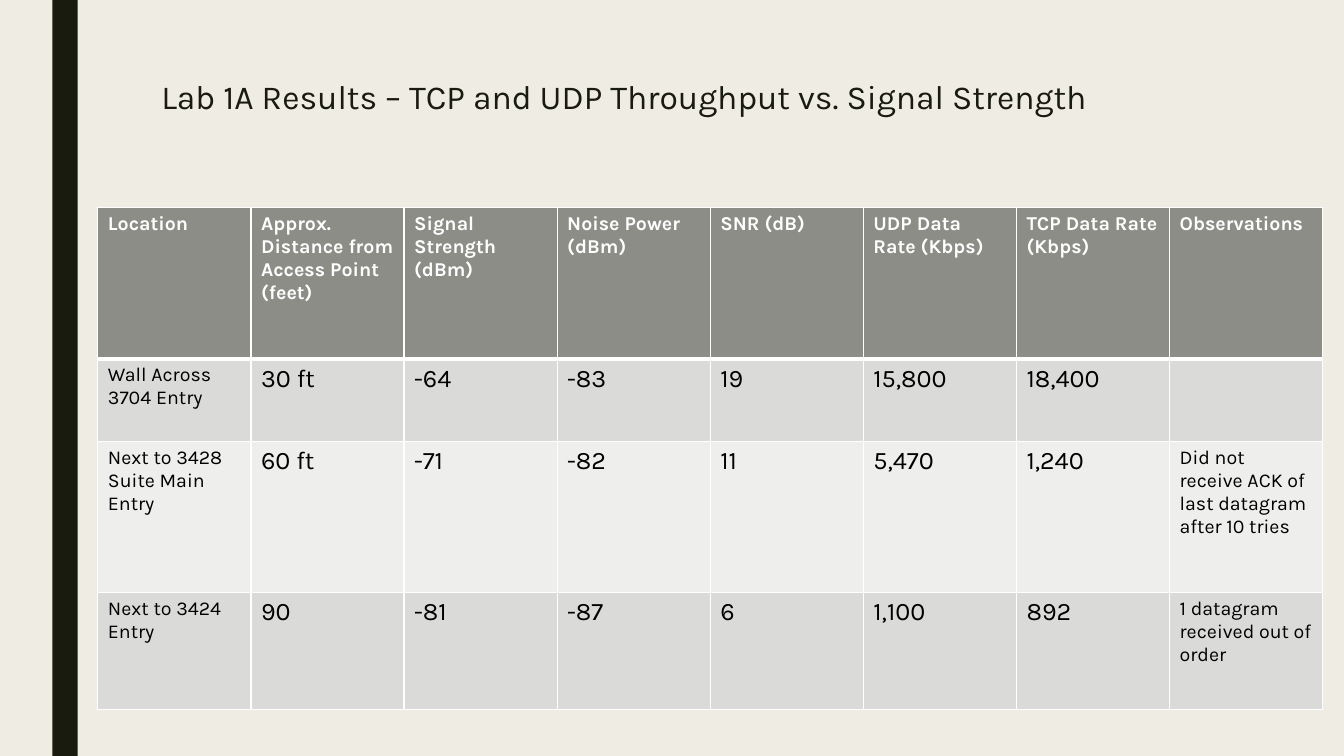
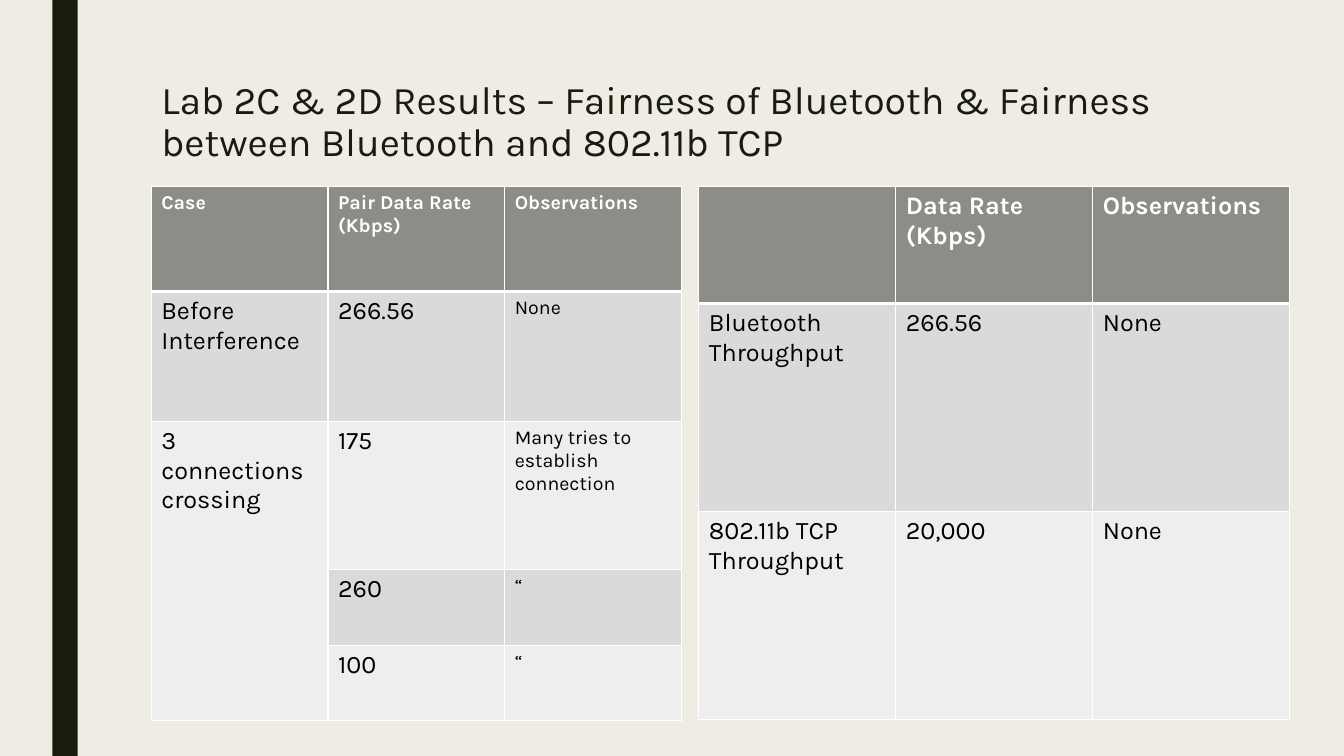
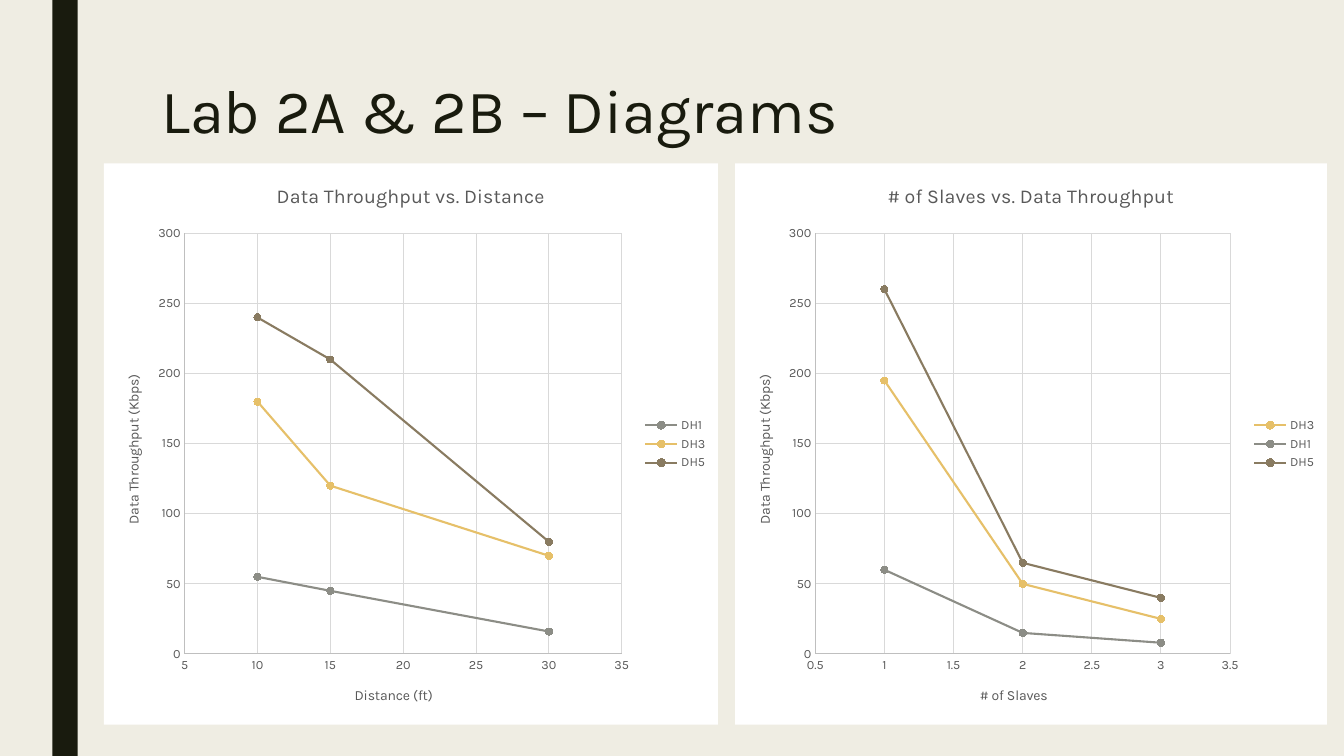
from lxml import etree
from pptx import Presentation
from pptx import util as u
from pptx.chart.data import XyChartData
from pptx.dml.color import RGBColor
from pptx.enum import chart as ch
from pptx.enum import shapes, text
from pptx.oxml import parse_xml
from pptx.oxml.ns import nsdecls, qn

WIDTH, HEIGHT = u.Inches(13.33), u.Inches(7.5)
FONT = "Karla"
CREAM, INK, WHITE, BLACK = "EFEDE3", "191B0E", "FFFFFF", "000000"
HEADER, BANDS = "8C8D86", ("DADBD9", "EEEEED")
LABEL, AXIS, GRID = "595959", "BFBFBF", "D9D9D9"
PACKETS = {"DH1": "8C8D86", "DH3": "E6C069", "DH5": "897B61"}


def color(hex_code):
    """Turn a hex string into a colour."""
    return RGBColor.from_string(hex_code)


def across(share):
    """Convert a percentage of the slide width to a length."""
    return round(WIDTH * share / 100)


def down(share):
    """Convert a percentage of the slide height to a length."""
    return round(HEIGHT * share / 100)


def box(left, top, width, height):
    """Convert slide percentages to left, top, width and height."""
    return across(left), down(top), across(width), down(height)


def assign(target, values):
    """Set every attribute named in a dict."""
    for name, value in values.items():
        setattr(target, name, value)


def style_font(font, size, hex_code, bold=False):
    """Apply the deck font with a size, colour and weight."""
    assign(font, {"name": FONT, "size": u.Pt(size), "bold": bold})
    font.color.rgb = color(hex_code)


def fill_solid(fill, hex_code):
    """Fill with one plain colour."""
    fill.solid()
    fill.fore_color.rgb = color(hex_code)


def style_line(line, hex_code, width):
    """Give a line its colour and width."""
    fill_solid(line.fill, hex_code)
    line.width = u.Pt(width)


def add_slide(prs, heading, size, height):
    """Add a slide with the dark side bar and its title."""
    slide = prs.slides.add_slide(prs.slide_layouts[5])
    bar = slide.shapes.add_shape(shapes.MSO_SHAPE.RECTANGLE, *box(3.9, 0, 1.88, 100))
    bar.shadow.inherit = False
    fill_solid(bar.fill, INK)
    bar.line.fill.background()

    title = slide.shapes.title
    assign(title, dict(zip(("left", "top", "width", "height"), box(11.25, 10, 78.75, height))))
    assign(title.text_frame, {
        "text": heading,
        "word_wrap": True,
        "auto_size": text.MSO_AUTO_SIZE.NONE,
        "vertical_anchor": text.MSO_ANCHOR.TOP,
    })
    paragraph = title.text_frame.paragraphs[0]
    assign(paragraph, {"alignment": text.PP_ALIGN.LEFT, "line_spacing": 0.89})
    style_font(paragraph.runs[0].font, size, INK)
    return slide


def add_borders(cell, **widths):
    """Draw white cell borders with widths in points by side."""
    properties = cell._tc.get_or_add_tcPr()
    for side in "LRTB":
        line = etree.SubElement(properties, qn(f"a:ln{side}"), w=str(u.Pt(widths.get(side, 1))))
        etree.SubElement(etree.SubElement(line, qn("a:solidFill")), qn("a:srgbClr"), val=WHITE)


def add_results(slide, left, top, width, row_shares, rows, header_size=14, small_columns=()):
    """Add a banded results table with equal columns."""
    frame = slide.shapes.add_table(len(rows), len(rows[0]), *box(left, top, width, sum(row_shares)))
    table = frame.table
    table.horz_banding = False
    for column in table.columns:
        column.width = across(width / len(rows[0]))
    for row, share in zip(table.rows, row_shares):
        row.height = down(share)
    for r, row in enumerate(rows):
        for c, words in enumerate(row):
            cell = table.cell(r, c)
            add_borders(cell, T=3 if r == 1 else 1, B=1 if r else 3)
            fill_solid(cell.fill, BANDS[(r - 1) % 2] if r else HEADER)
            cell.text = words
            size = (14 if c in small_columns else 18) if r else header_size
            style_font(cell.text_frame.paragraphs[0].font, size, BLACK if r else WHITE, r == 0)
    return table


def set_caption(owner, words, size):
    """Title a chart or an axis."""
    frame = (owner.chart_title if hasattr(owner, "chart_title") else owner.axis_title).text_frame
    frame.text = words
    style_font(frame.paragraphs[0].runs[0].font, size, LABEL)


def style_axis(axis, caption, low, high, step):
    """Scale and format a value axis."""
    assign(axis, {
        "minimum_scale": low,
        "maximum_scale": high,
        "major_unit": step,
        "has_major_gridlines": True,
        "major_tick_mark": ch.XL_TICK_MARK.NONE,
        "minor_tick_mark": ch.XL_TICK_MARK.NONE,
    })
    assign(axis.tick_labels, {"number_format": "General", "number_format_is_linked": False})
    style_font(axis.tick_labels.font, 9, LABEL)
    style_line(axis.format.line, AXIS, 0.75)
    style_line(axis.major_gridlines.format.line, GRID, 0.75)
    set_caption(axis, caption, 10)


def add_throughput(slide, left, width, heading, caption, scale, positions, rates):
    """Add a scatter chart of throughput by packet type."""
    data = XyChartData()
    for packet, values in rates.items():
        series = data.add_series(packet)
        for x, y in zip(positions, values):
            series.add_data_point(x, y)
    chart = slide.shapes.add_chart(
        ch.XL_CHART_TYPE.XY_SCATTER_LINES, *box(left, 21.6, width, 74.27), data).chart
    chart.element.find(qn("c:chart")).addnext(parse_xml(
        f'<c:spPr {nsdecls("c", "a")}><a:solidFill><a:srgbClr val="{WHITE}"/></a:solidFill>'
        '<a:ln><a:noFill/></a:ln></c:spPr>'))
    style_font(chart.font, 10, BLACK)
    set_caption(chart, heading, 14)
    style_axis(chart.category_axis, caption, *scale)
    style_axis(chart.value_axis, "Data Throughput (Kbps)", 0, 300, 50)
    chart.has_legend = True
    assign(chart.legend, {"position": ch.XL_LEGEND_POSITION.RIGHT, "include_in_layout": False})
    style_font(chart.legend.font, 9, LABEL)

    plot = chart.plots[0]
    plot.vary_by_categories = False
    for series in plot.series:
        tint = PACKETS[series.name]
        series.smooth = False
        style_line(series.format.line, tint, 1.5)
        assign(series.marker, {"style": ch.XL_MARKER_STYLE.CIRCLE, "size": 5})
        fill_solid(series.marker.format.fill, tint)
        style_line(series.marker.format.line, tint, 0.75)


def main():
    """Build the lab results deck."""
    prs = Presentation()
    assign(prs, {"slide_width": WIDTH, "slide_height": HEIGHT})
    fill_solid(prs.slide_master.background.fill, CREAM)

    signal = add_slide(prs, "Lab 1A Results – TCP and UDP Throughput vs. Signal Strength", 24, 7.47)
    add_results(signal, 7.28, 27.47, 91.15, (20, 10.93, 20, 15.47), [
        ("Location", "Approx. Distance from Access Point (feet)", "Signal Strength (dBm)",
         "Noise Power (dBm)", "SNR (dB)", "UDP Data Rate (Kbps)", "TCP Data Rate (Kbps)",
         "Observations"),
        ("Wall Across 3704 Entry", "30 ft", "-64", "-83", "19", "15,800", "18,400", ""),
        ("Next to 3428 Suite Main Entry", "60 ft", "-71", "-82", "11", "5,470", "1,240",
         "Did not receive ACK of last datagram after 10 tries"),
        ("Next to 3424 Entry", "90", "-81", "-87", "6", "1,100", "892",
         "1 datagram received out of order"),
    ], small_columns=(0, 7))

    fairness = add_slide(prs, "Lab 2C & 2D Results – Fairness of Bluetooth & Fairness "
                              "between Bluetooth and 802.11b TCP", 28, 12.93)
    crossing = add_results(fairness, 11.25, 24.67, 39.46, (13.87, 17.2, 19.6, 10, 10), [
        ("Case", "Pair Data Rate (Kbps)", "Observations"),
        ("Before Interference", "266.56", "None"),
        ("3 connections crossing", "175", "Many tries to establish connection"),
        ("", "260", "“"),
        ("", "100", "“"),
    ], small_columns=(2,))
    crossing.cell(2, 0).merge(crossing.cell(4, 0))
    add_results(fairness, 52, 24.67, 43.96, (15.47, 27.5, 27.5), [
        ("", "Data Rate (Kbps)", "Observations"),
        ("Bluetooth Throughput", "266.56", "None"),
        ("802.11b TCP Throughput", "20,000", "None"),
    ], header_size=18)

    diagrams = add_slide(prs, "Lab 2A & 2B – Diagrams", 44, 10.13)
    add_throughput(diagrams, 7.73, 45.69, "Data Throughput vs. Distance", "Distance (ft)",
                   (5, 35, 5), (10, 15, 30),
                   {"DH1": (55, 45, 16), "DH3": (180, 120, 70), "DH5": (240, 210, 80)})
    add_throughput(diagrams, 54.69, 44.04, "# of Slaves vs. Data Throughput", "# of Slaves",
                   (0.5, 3.5, 0.5), (1, 2, 3),
                   {"DH3": (195, 50, 25), "DH1": (60, 15, 8), "DH5": (260, 65, 40)})
    prs.save("out.pptx")


main()
